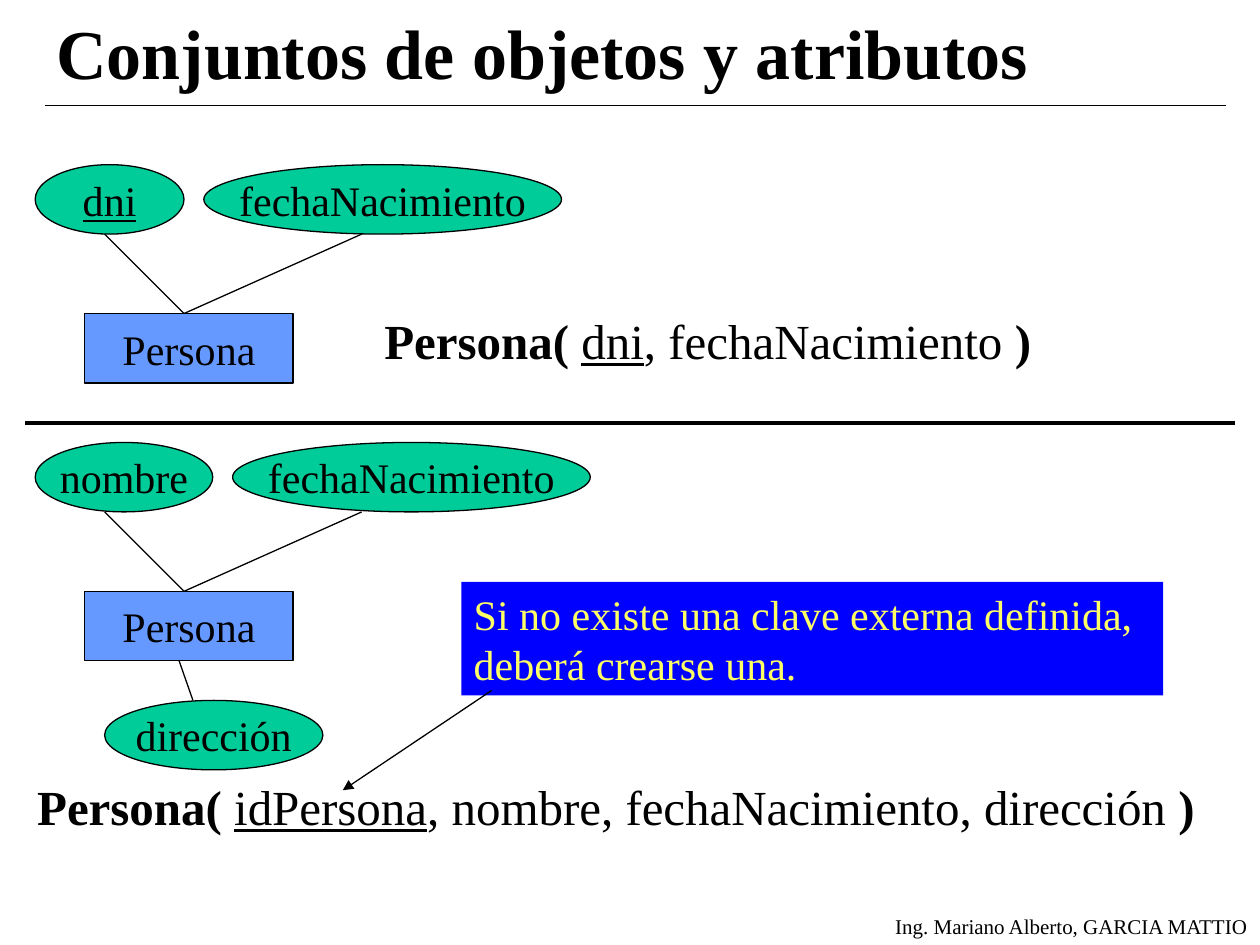
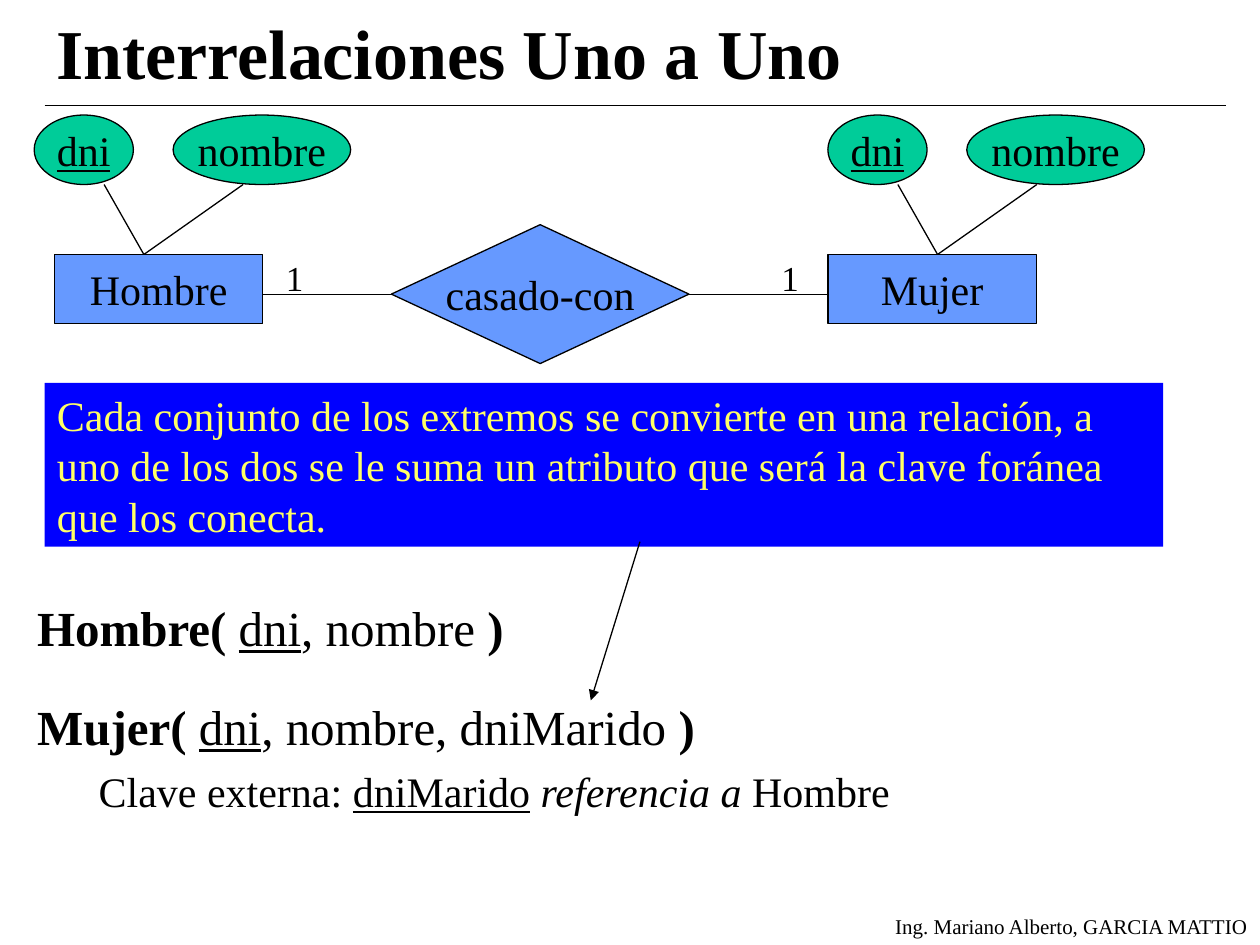
from lxml import etree
from pptx import Presentation
from pptx.dml.color import RGBColor
from pptx.enum import shapes, text
from pptx.oxml import ns
from pptx.util import Cm, Pt

BLACK = RGBColor(0x00, 0x00, 0x00)
GREEN = RGBColor(0x00, 0xCC, 0x99)
SKY = RGBColor(0x66, 0x99, 0xFF)
BLUE = RGBColor(0x00, 0x00, 0xFF)
YELLOW = RGBColor(0xFF, 0xFF, 0x66)

FONT = "Times New Roman"
THIN, THICK = 0.74, 2.24
NODE_H = 1.4
ENTITY_W = 4.2
LEFT, CENTER, RIGHT = text.PP_ALIGN.LEFT, text.PP_ALIGN.CENTER, text.PP_ALIGN.RIGHT
TOP, MIDDLE = text.MSO_ANCHOR.TOP, text.MSO_ANCHOR.MIDDLE
RECT, OVAL = shapes.MSO_SHAPE.RECTANGLE, shapes.MSO_SHAPE.OVAL
DIAMOND = shapes.MSO_SHAPE.FLOWCHART_DECISION


def add_runs(p, runs, size, color=BLACK):
    for words, style in runs:
        r = p.add_run()
        r.text = words
        f = r.font
        f.name, f.size, f.color.rgb = FONT, Pt(size), color
        f.bold, f.italic, f.underline = "b" in style, "i" in style, "u" in style


def set_frame(sp, anchor=TOP, wrap=True):
    tf = sp.text_frame
    tf.word_wrap = wrap
    tf.vertical_anchor = anchor
    tf.margin_left = tf.margin_right = Cm(0.25)
    tf.margin_top = tf.margin_bottom = Cm(0.13)
    return tf


def add_text(slide, box, runs, size, align=LEFT, anchor=TOP, wrap=True, before=0):
    sp = slide.shapes.add_textbox(*map(Cm, box))
    tf = set_frame(sp, anchor, wrap)
    p = tf.paragraphs[0]
    p.alignment = align
    p.space_before = Pt(before)
    add_runs(p, runs, size)
    return tf


def add_line(slide, x1, y1, x2, y2, width=THIN, arrow=False):
    line = slide.shapes.add_connector(shapes.MSO_CONNECTOR.STRAIGHT, *map(Cm, (x1, y1, x2, y2)))
    line.line.color.rgb = BLACK
    line.line.width = Pt(width)
    if arrow:
        ln = line.line._get_or_add_ln()
        etree.SubElement(ln, ns.qn("a:tailEnd"), type="triangle")
    etree.SubElement(line._element.spPr, ns.qn("a:effectLst"))


def add_node(slide, kind, box, words, fill, style=""):
    sp = slide.shapes.add_shape(kind, *map(Cm, box))
    sp.shadow.inherit = False
    sp.fill.solid()
    sp.fill.fore_color.rgb = fill
    sp.line.color.rgb = BLACK
    sp.line.width = Pt(THIN)
    p = set_frame(sp, MIDDLE, False).paragraphs[0]
    p.alignment = CENTER
    add_runs(p, [(words, style)], 24)


def add_note(slide, box, words):
    sp = slide.shapes.add_shape(RECT, *map(Cm, box))
    sp.shadow.inherit = False
    sp.fill.solid()
    sp.fill.fore_color.rgb = BLUE
    sp.line.fill.background()
    p = set_frame(sp).paragraphs[0]
    p.alignment = LEFT
    add_runs(p, [(words, "")], 24, YELLOW)


def add_entity(slide, left, top, name, entity, hub, attributes, gap):
    dx, dy = entity
    x = left
    for words, width, style, end in attributes:
        add_line(slide, left + hub, top + dy, left + end, top + NODE_H)
        add_node(slide, OVAL, (x, top, width, NODE_H), words, GREEN, style)
        x += width + gap
    add_node(slide, RECT, (left + dx, top + dy, ENTITY_W, NODE_H), name, SKY)


def relation(name, key, others):
    return [(name + "( ", "b"), (key, "u"), (", " + others, ""), (" )", "b")]


def add_frame(prs, title):
    slide = prs.slides.add_slide(prs.slide_layouts[6])
    add_text(slide, (17.7, 18.29, 7.7, 0.76), [("Ing. Mariano Alberto, GARCIA MATTIO", "")],
             12, RIGHT, wrap=False)
    add_text(slide, (0.89, 0.33, 23.8, 1.4), [(title, "b")], 40, anchor=MIDDLE)
    add_line(slide, 0.9, 2.13, 24.71, 2.13)
    return slide


def build_object_sets(prs):
    slide = add_frame(prs, "Conjuntos de objetos y atributos")
    left = 0.71
    birth = ("fechaNacimiento", 7.21, "", 6.58)
    entity = (1, 3)

    add_entity(slide, left, 3.32, "Persona", entity, 3, [("dni", 3, "u", 1.4), birth], 0.4)
    add_text(slide, (7.5, 6.12, 13.8, 1.6), relation("Persona", "dni", "fechaNacimiento"),
             28, before=7)
    add_line(slide, 0.5, 8.53, 24.9, 8.53, THICK)

    top = 8.92
    add_entity(slide, left, top, "Persona", entity, 3, [("nombre", 3.58, "", 1.4), birth], 0.4)
    add_line(slide, left + 3.18, top + 5.2, left + 2.9, top + 4.4)
    add_node(slide, OVAL, (left + 1.4, top + 5.2, 4.4, NODE_H), "dirección", GREEN)
    add_text(slide, (0.5, 15.52, 24.6, 3),
             relation("Persona", "idPersona", "nombre, fechaNacimiento, dirección"), 28, before=7)
    add_note(slide, (9.3, 11.73, 14.15, 2.29),
             "Si no existe una clave externa definida, deberá crearse una.")
    add_line(slide, 9.91, 13.92, 6.91, 15.93, arrow=True)


def add_marriage(slide, left, top):
    mid = top + 3.61
    add_line(slide, left + 4.62, mid, left + 16, mid)
    attributes = [("dni", 2, "u", 1.41), ("nombre", 3.58, "", 4.21)]
    for name, x, dx in (("Hombre", left, 0.41), ("Mujer", left + 16, 0)):
        add_entity(slide, x, top, name, (dx, 2.81), 2.21, attributes, 0.8)
    add_node(slide, DIAMOND, (left + 7.2, mid - NODE_H, 6, 2 * NODE_H), "casado-con", SKY)
    for x in (4.82, 14.81):
        add_text(slide, (left + x, mid - 0.89, 0.86, 1.12), [("1", "")], 20, CENTER, wrap=False)


def add_relations(slide, box):
    tf = add_text(slide, box, relation("Hombre", "dni", "nombre"), 28, before=7)
    p = tf.add_paragraph()
    p.space_before = Pt(23)
    add_runs(p, relation("Mujer", "dni", "nombre, dniMarido"), 28)
    p = tf.add_paragraph()
    p.space_before = Pt(6)
    pr = p._p.get_or_add_pPr()
    pr.set("marL", str(Cm(1.98)))
    pr.set("indent", str(Cm(-0.74)))
    add_runs(p, [("Clave externa: ", ""), ("dniMarido", "u"), (" ", ""),
                 ("referencia a", "i"), (" Hombre", "")], 24)


def build_one_to_one(prs):
    slide = add_frame(prs, "Interrelaciones Uno a Uno")
    add_marriage(slide, 0.69, 2.32)
    add_relations(slide, (0.5, 11.91, 23.8, 6.6))
    add_note(slide, (0.9, 7.72, 22.55, 3.3),
             "Cada conjunto de los extremos se convierte en una relación, a uno de los dos "
             "se le suma un atributo que será la clave foránea que los conecta.")
    add_line(slide, 12.9, 10.92, 11.91, 14.12, arrow=True)


prs = Presentation()
prs.slide_width, prs.slide_height = Cm(25.4), Cm(19.05)
build_object_sets(prs)
build_one_to_one(prs)
prs.save("out.pptx")
